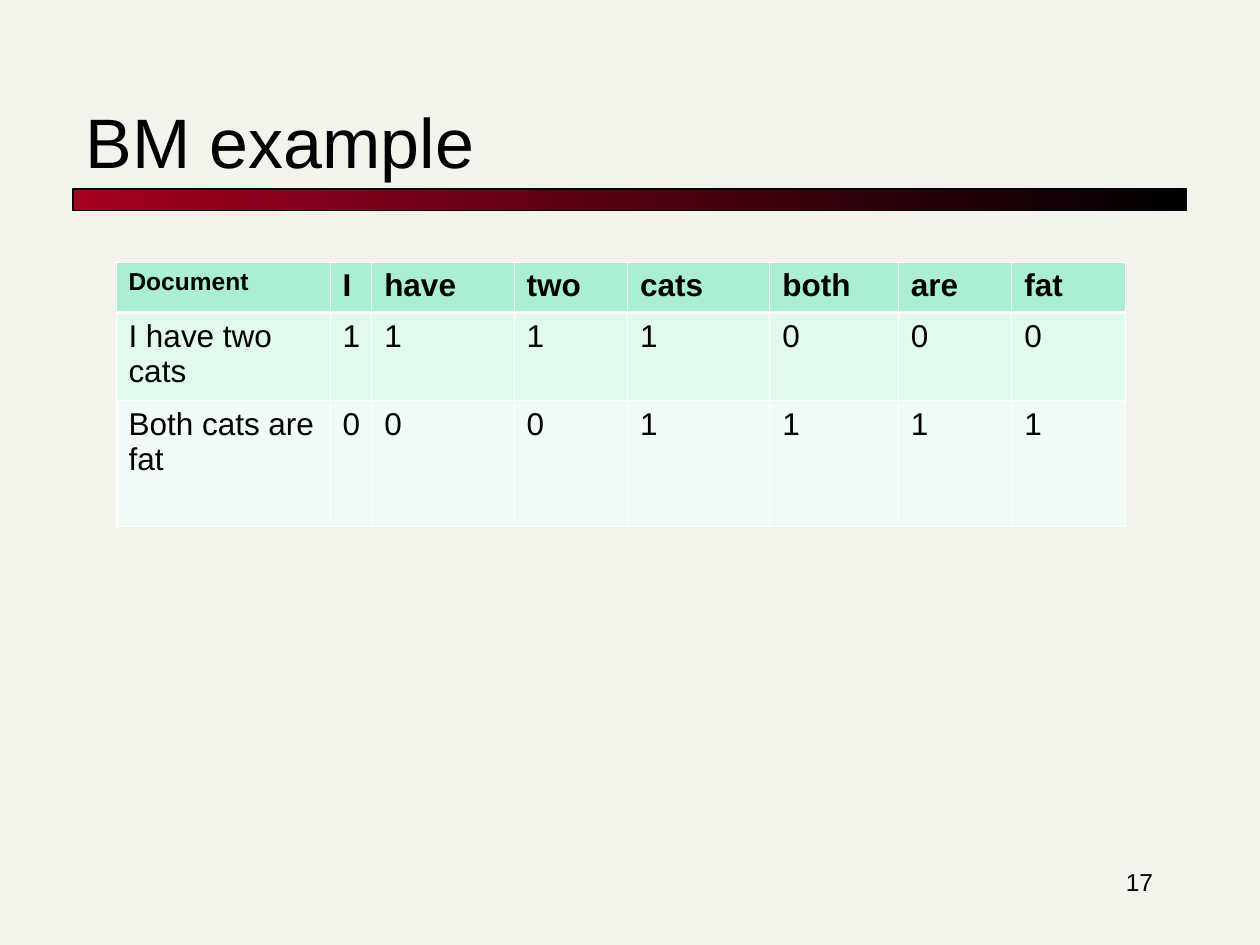
"""Build the Boolean model example slide with its term-document table."""
from lxml import etree
from pptx import Presentation
from pptx.dml.color import RGBColor
from pptx.enum import shapes, text
from pptx.oxml import ns
from pptx.util import Pt

BACKGROUND = RGBColor(0xF4, 0xF3, 0xEB)
BLACK = RGBColor(0x00, 0x00, 0x00)
WHITE = RGBColor(0xFF, 0xFF, 0xFF)
CRIMSON = RGBColor(0xA5, 0x00, 0x21)
ROW_FILLS = [
    RGBColor(0xAA, 0xEF, 0xD1),
    RGBColor(0xE2, 0xF9, 0xEE),
    RGBColor(0xF1, 0xFC, 0xF7),
]
THIN, THICK = 0.45, 1.47


def format_text(paragraph, size, bold=False):
    for run in paragraph.runs:
        run.font.name = "Arial"
        run.font.size = Pt(size)
        run.font.bold = bold
        run.font.color.rgb = BLACK


def add_border(cell, side, width):
    properties = cell._tc.get_or_add_tcPr()
    line = etree.SubElement(properties, ns.qn(f"a:ln{side}"), w=str(Pt(width)))
    fill = etree.SubElement(line, ns.qn("a:solidFill"))
    etree.SubElement(fill, ns.qn("a:srgbClr"), val=str(WHITE))


presentation = Presentation()
presentation.slide_width = Pt(720)
presentation.slide_height = Pt(540)
slide = presentation.slides.add_slide(presentation.slide_layouts[5])
slide.background.fill.solid()
slide.background.fill.fore_color.rgb = BACKGROUND

title_bar = slide.shapes.add_shape(
    shapes.MSO_SHAPE.RECTANGLE, Pt(41.76), Pt(108), Pt(636.48), Pt(12.24)
)
title_bar.shadow.inherit = False
title_bar.fill.gradient()
title_bar.fill.gradient_angle = 0
for stop, color, position in zip(title_bar.fill.gradient_stops, (CRIMSON, BLACK), (0, 1)):
    stop.color.rgb = color
    stop.position = position
title_bar.line.color.rgb = BLACK
title_bar.line.width = Pt(0.75)

title = slide.shapes.title
title.left, title.top, title.width, title.height = Pt(41.76), Pt(30.24), Pt(635.76), Pt(77.76)
title.text_frame.text = "BM example"
title.text_frame.vertical_anchor = text.MSO_ANCHOR.BOTTOM
title.text_frame.auto_size = text.MSO_AUTO_SIZE.NONE
title.text_frame.paragraphs[0].alignment = text.PP_ALIGN.LEFT
format_text(title.text_frame.paragraphs[0], 40)

term_rows = [
    ["Document", "I", "have", "two", "cats", "both", "are", "fat"],
    ["I have two cats", "1", "1", "1", "1", "0", "0", "0"],
    ["Both cats are fat", "0", "0", "0", "1", "1", "1", "1"],
]
column_widths = [122.4, 23.76, 81.36, 64.8, 81.36, 73.44, 64.8, 64.8]
row_heights = [28.8, 50.4, 72]
table = slide.shapes.add_table(
    len(term_rows), len(column_widths),
    Pt(66.24), Pt(149.76), Pt(sum(column_widths)), Pt(sum(row_heights)),
).table
for column, width in zip(table.columns, column_widths):
    column.width = Pt(width)
for row_index, (row, height) in enumerate(zip(table.rows, row_heights)):
    row.height = Pt(height)
    is_header = row_index == 0
    top_width = THICK if row_index == 1 else THIN
    bottom_width = THICK if is_header else THIN
    for cell, term in zip(row.cells, term_rows[row_index]):
        cell.text_frame.text = term
        size = 14 if term == "Document" else 18
        format_text(cell.text_frame.paragraphs[0], size, is_header)
        for side, width in zip("LRTB", (THIN, THIN, top_width, bottom_width)):
            add_border(cell, side, width)
        cell.fill.solid()
        cell.fill.fore_color.rgb = ROW_FILLS[row_index]

page_number = slide.shapes.add_textbox(Pt(516.24), Pt(491.76), Pt(149.76), Pt(36))
page_number.text_frame.word_wrap = True
page_number.text_frame.text = "17"
page_number.text_frame.paragraphs[0].alignment = text.PP_ALIGN.RIGHT
format_text(page_number.text_frame.paragraphs[0], 14)

presentation.save("out.pptx")
